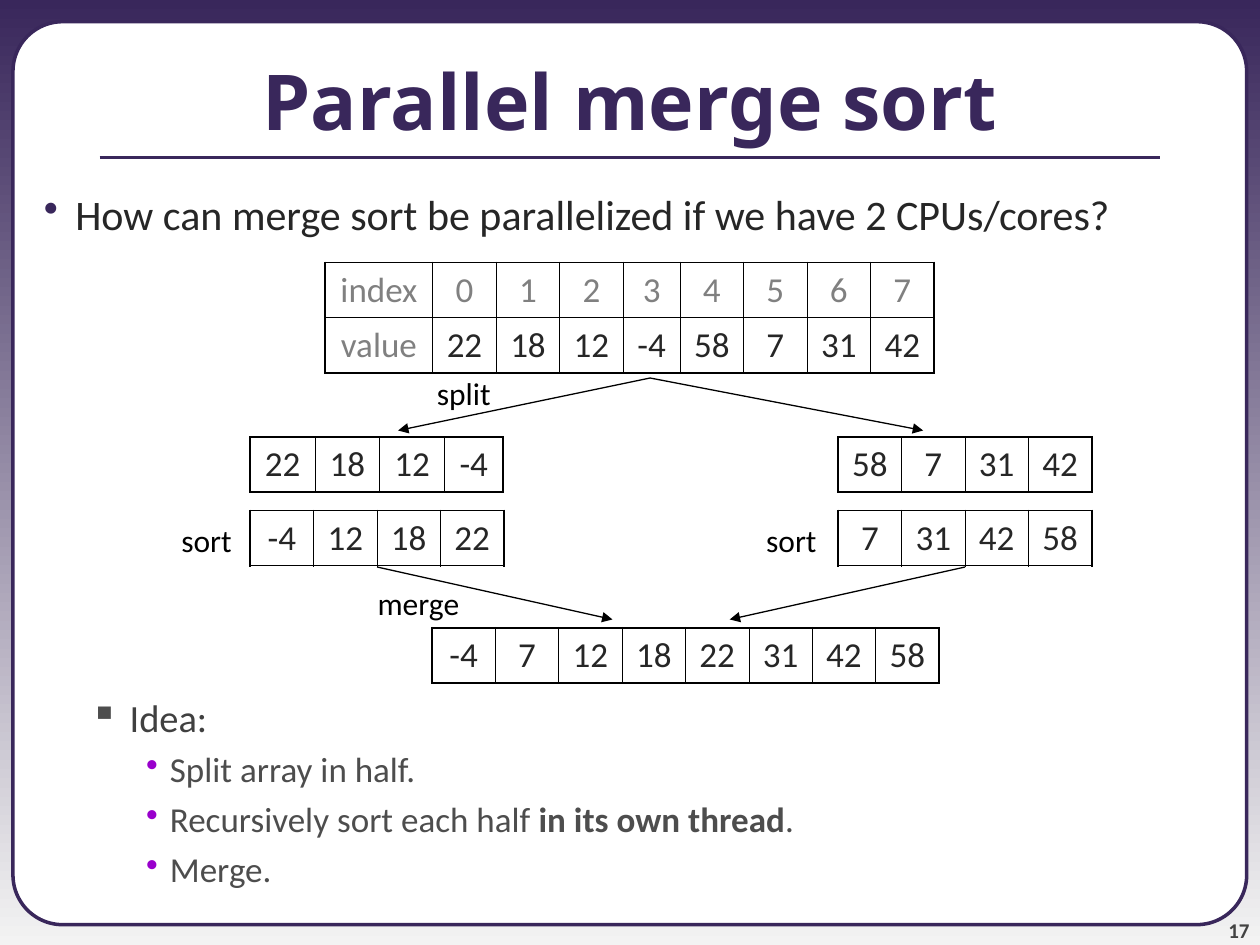
from lxml.etree import SubElement
from pptx import Presentation
from pptx.dml.color import RGBColor
from pptx.enum.shapes import MSO_CONNECTOR as CONN, MSO_SHAPE as SHAPE
from pptx.enum.text import MSO_ANCHOR as ANCHOR, MSO_AUTO_SIZE as AUTO, PP_ALIGN as ALIGN
from pptx.oxml.ns import qn
from pptx.util import Pt

COLORS = {
    "purple": "39275B",
    "pale": "F3F3F3",
    "white": "FFFFFF",
    "black": "000000",
    "ink": "262626",
    "idea": "404040",
    "step": "4D4D4D",
    "number": "424242",
    "label": "808080",
    "violet": "9900CC",
}
CELL = 36.25
ROW = 31.5
THICK, THIN = 1.08, 0.45


def rgb(name):
    return RGBColor.from_string(COLORS[name])


def write(p, text, size=20, color="ink", font="Calibri", bold=False, align=ALIGN.LEFT, before=0):
    p.alignment = align
    p.space_before = Pt(before)
    r = p.add_run()
    r.text = text
    r.font.size = Pt(size)
    r.font.name = font
    r.font.bold = bold
    r.font.color.rgb = rgb(color)


def set_bullet(p, char, color, left, hang):
    pPr = p._p.get_or_add_pPr()
    pPr.set("marL", str(Pt(left)))
    pPr.set("indent", str(-Pt(hang)))
    clr = SubElement(pPr, qn("a:buClr"))
    SubElement(clr, qn("a:srgbClr"), val=COLORS[color])
    SubElement(pPr, qn("a:buChar"), char=char)


def add_box(shapes, x, y, w, h, anchor=ANCHOR.TOP):
    tf = shapes.add_textbox(Pt(x), Pt(y), Pt(w), Pt(h)).text_frame
    tf.word_wrap = True
    tf.vertical_anchor = anchor
    return tf


def add_label(shapes, text, x, y, w):
    tf = add_box(shapes, x, y, w, 29)
    tf.word_wrap = False
    tf.auto_size = AUTO.SHAPE_TO_FIT_TEXT
    write(tf.paragraphs[0], text, size=18, color="black", align=ALIGN.RIGHT)


def add_line(shapes, start, end, color="black", width=0.75, arrow=True):
    c = shapes.add_connector(CONN.STRAIGHT, *map(Pt, start + end))
    c.line.color.rgb = rgb(color)
    c.line.width = Pt(width)
    if arrow:
        SubElement(c.line._get_or_add_ln(), qn("a:tailEnd"), type="triangle")
    SubElement(c._element.spPr, qn("a:effectLst"))


def set_borders(cell, outer_sides):
    tcPr = cell._tc.get_or_add_tcPr()
    for side in "LRTB":
        width = THICK if side in outer_sides else THIN
        ln = SubElement(tcPr, qn(f"a:ln{side}"), w=str(Pt(width)))
        fill = SubElement(ln, qn("a:solidFill"))
        SubElement(fill, qn("a:srgbClr"), val=COLORS["black"])


def add_array(shapes, x, y, rows, widths=None):
    n_rows, n_cols = len(rows), len(rows[0])
    widths = widths or [CELL] * n_cols
    table = shapes.add_table(n_rows, n_cols, Pt(x), Pt(y), Pt(sum(widths)), Pt(ROW * n_rows)).table
    table.first_row = table.horz_banding = False
    for column, width in zip(table.columns, widths):
        column.width = Pt(width)
    for i, values in enumerate(rows):
        table.rows[i].height = Pt(ROW)
        for j, value in enumerate(values):
            cell = table.cell(i, j)
            edges = {"L": j == 0, "R": j == n_cols - 1, "T": i == 0, "B": i == n_rows - 1}
            set_borders(cell, [side for side, outer in edges.items() if outer])
            cell.fill.background()
            gray = n_rows > 1 and (i == 0 or j == 0)
            write(cell.text_frame.paragraphs[0], str(value), color="label" if gray else "ink",
                  align=ALIGN.CENTER, before=5)


def add_frame(s):
    fill = s.background.fill
    fill.gradient()
    fill.gradient_angle = 270
    for stop, name in zip(fill.gradient_stops, ("purple", "pale")):
        stop.color.rgb = rgb(name)
    sp = s.shapes.add_shape(SHAPE.ROUNDED_RECTANGLE, Pt(7.4), Pt(12.4), Pt(705), Pt(516))
    sp.adjustments[0] = 0.055
    sp.shadow.inherit = False
    sp.fill.solid()
    sp.fill.fore_color.rgb = rgb("white")
    sp.line.color.rgb = rgb("purple")
    sp.line.width = Pt(2)

    tf = add_box(s.shapes, 654, 510, 60, 28.5, ANCHOR.BOTTOM)
    tf.margin_left = tf.margin_right = tf.margin_top = tf.margin_bottom = 0
    write(tf.paragraphs[0], "17", size=12, color="number", bold=True, align=ALIGN.RIGHT)
    add_line(s.shapes, (57, 90), (663, 90), color="purple", width=2.25, arrow=False)


def add_body(shapes):
    title = add_box(shapes, 0, 12, 720, 90, ANCHOR.MIDDLE)
    write(title.paragraphs[0], "Parallel merge sort", size=44, color="purple",
          font="Noto Sans", bold=True, align=ALIGN.CENTER)

    p = add_box(shapes, 0, 104, 720, 38).paragraphs[0]
    write(p, "How can merge sort be parallelized if we have 2 CPUs/cores?", size=24, before=6)
    set_bullet(p, "•", "purple", 36, 18)

    ideas = add_box(shapes, 0, 393, 720, 125)
    p = ideas.paragraphs[0]
    write(p, "Idea:", size=22, color="idea", before=5.5)
    set_bullet(p, "▪", "step", 67, 22.5)
    steps = [
        [("Split array in half.", False)],
        [("Recursively sort each half ", False), ("in its own thread", True), (".", False)],
        [("Merge.", False)],
    ]
    for step in steps:
        p = ideas.add_paragraph()
        for text, bold in step:
            write(p, text, color="step", bold=bold, before=4.5)
        set_bullet(p, "•", "violet", 90, 13.5)


def add_diagram(shapes):
    values = [22, 18, 12, -4, 58, 7, 31, 42]
    half = len(values) // 2
    left, right = values[:half], values[half:]
    left_x, right_x = 143, 479

    add_array(shapes, 185.8, 150, [["index", *range(len(values))], ["value", *values]],
              [61.5] + [36.3] * 3 + [32.5] + [36.3] * 4)
    add_array(shapes, left_x, 249.75, [left], [37, 37, 37, 33.5])
    add_array(shapes, right_x, 249.75, [right])

    split = shapes.add_group_shape().shapes
    add_label(split, "split", 242, 210, 45.5)
    for x in (227.5, 527.5):
        add_line(split, (371.5, 216), (x, 246))

    add_array(shapes, 246.8, 358.75, [sorted(values)])

    merge = shapes.add_group_shape().shapes
    for start, end in ((215.5, 350), (551.5, 417)):
        add_line(merge, (start, 324), (end, 354))
    add_label(merge, "merge", 208, 330, 61.5)

    for part, x, label_x in ((left, left_x, 96.5), (right, right_x, 430.7)):
        add_array(shapes, x, 291.75, [sorted(part)])
        add_label(shapes, "sort", label_x, 294, 43)


def main():
    prs = Presentation()
    prs.slide_width, prs.slide_height = Pt(720), Pt(540)
    s = prs.slides.add_slide(prs.slide_layouts[6])
    add_frame(s)
    add_body(s.shapes)
    add_diagram(s.shapes)
    prs.save("out.pptx")


if __name__ == "__main__":
    main()
